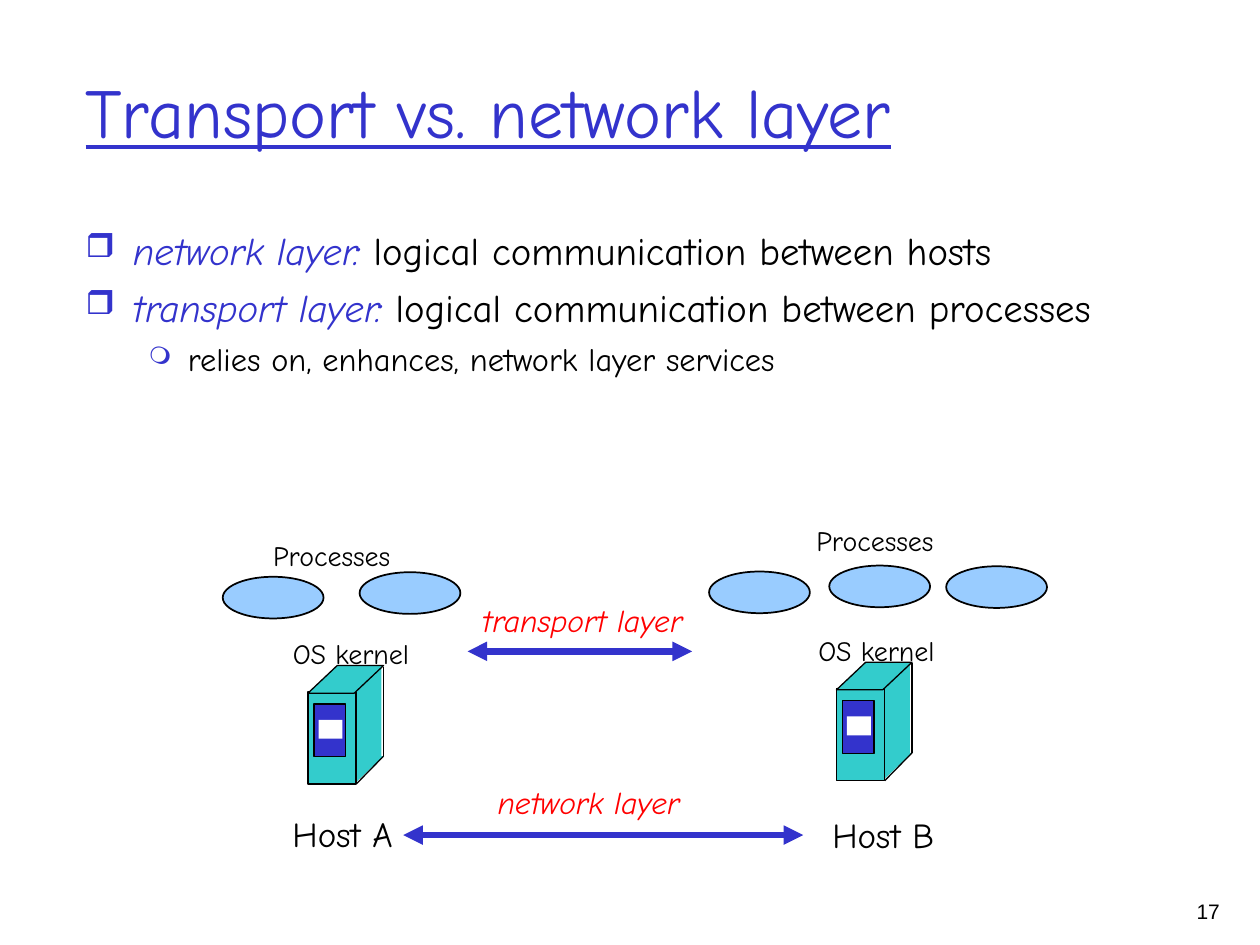
import pptx
import pptx.util
import pptx.dml.color
import pptx.enum.shapes
import pptx.enum.text
import pptx.oxml.ns
import lxml.etree

Pt = pptx.util.Pt
RGB = pptx.dml.color.RGBColor.from_string
qn = pptx.oxml.ns.qn
SHAPE = pptx.enum.shapes.MSO_SHAPE
ALIGN = pptx.enum.text.PP_ALIGN
ANCHOR = pptx.enum.text.MSO_ANCHOR

COLORS = {
    "blue": "3333CC",
    "teal": "33CCCC",
    "sky": "99CCFF",
    "red": "FF0000",
    "black": "000000",
    "white": "FFFFFF",
}

deck = pptx.Presentation()
deck.slide_width, deck.slide_height = Pt(720), Pt(540)
page = deck.slides.add_slide(deck.slide_layouts[6])


def add_box(left, top, width, height, wrap=True, anchor=ANCHOR.TOP):
    box = page.shapes.add_textbox(Pt(left), Pt(top), Pt(width), Pt(height))
    box.text_frame.word_wrap = wrap
    box.text_frame.vertical_anchor = anchor
    if not wrap:
        box.text_frame.auto_size = pptx.enum.text.MSO_AUTO_SIZE.SHAPE_TO_FIT_TEXT
    return box.text_frame


def add_text(para, text, size=16, color="black", italic=False, underline=False,
             font="Comic Neue", align=ALIGN.LEFT, before=0):
    para.alignment = align
    para.space_before = Pt(before)
    span = para.add_run()
    span.text = text
    span.font.name = font
    span.font.size = Pt(size)
    span.font.italic = italic
    span.font.underline = underline
    span.font.color.rgb = RGB(COLORS[color])


title = add_box(41.8, 18, 612, 90, anchor=ANCHOR.MIDDLE)
add_text(title.paragraphs[0], "Transport vs. network layer", size=40, color="blue", underline=True)

body = add_box(41.8, 126, 611, 124.6)
points = [
    (0, "network layer:", " logical communication between hosts"),
    (0, "transport layer:", " logical communication between processes"),
    (1, "", "relies on, enhances, network layer services"),
]
levels = [
    {"size": 22.2, "before": 6, "margin": 27, "hang": 27, "bullet": "❒", "scale": 85},
    {"size": 18.5, "before": 5, "margin": 58.5, "hang": 22.5, "bullet": "❍", "scale": 75},
]
for index, (level, term, meaning) in enumerate(points):
    para = body.add_paragraph() if index else body.paragraphs[0]
    style = levels[level]
    para.level = level
    if term:
        add_text(para, term, size=style["size"], color="blue", italic=True, before=style["before"])
    add_text(para, meaning, size=style["size"], before=style["before"])
    props = para._p.get_or_add_pPr()
    props.set("marL", str(Pt(style["margin"])))
    props.set("indent", str(-Pt(style["hang"])))
    bullet_color = lxml.etree.SubElement(props, qn("a:buClr"))
    lxml.etree.SubElement(bullet_color, qn("a:srgbClr"), val=COLORS["blue"])
    lxml.etree.SubElement(props, qn("a:buSzPct"), val=str(style["scale"] * 1000))
    lxml.etree.SubElement(props, qn("a:buChar"), char=style["bullet"])

host_parts = [
    (SHAPE.PARALLELOGRAM, 0, 51.8, 43.2, 15.8, "teal", 0),
    (SHAPE.RECTANGLE, 21.8, 0, 20.2, 52.6, "teal", 0),
    (SHAPE.RECTANGLE, 0, 15.1, 27.4, 52.6, "teal", 0.75),
    (SHAPE.PARALLELOGRAM, 0, 0, 43.2, 15.8, "teal", 0.75),
    (SHAPE.RECTANGLE, 3.4, 22, 18, 30.2, "blue", 0.75),
    (SHAPE.RECTANGLE, 6, 31, 13.7, 10.8, "white", 0),
]
host_edges = [(43.2, 0.7, 43.2, 51.8), (43.2, 51.8, 27.6, 67.7)]
shapes = []
lines = []
for x, y in [(478, 378.4), (176, 380.3)]:
    for kind, left, top, width, height, fill, weight in host_parts:
        shapes.append((kind, x + left, y + top, width, height, fill, weight))
    for x1, y1, x2, y2 in host_edges:
        lines.append((x + x1, y + y1, x + x2, y + y2, "black", 0.75, False))

for left, top in [(127.3, 329.6), (205.5, 327), (540.7, 323.6), (473.9, 323.2), (405.2, 326.6)]:
    shapes.append((SHAPE.OVAL, left, top, 57.6, 23.8, "sky", 1))

lines += [
    (230.4, 477.2, 459, 477.2, "blue", 3.75, True),
    (267.2, 372.2, 395.5, 372.2, "blue", 3.75, True),
]

for kind, left, top, width, height, fill, weight in shapes:
    shape = page.shapes.add_shape(kind, Pt(left), Pt(top), Pt(width), Pt(height))
    shape.shadow.inherit = False
    shape.fill.solid()
    shape.fill.fore_color.rgb = RGB(COLORS[fill])
    if kind == SHAPE.PARALLELOGRAM:
        shape.adjustments[0] = 1.06
    if weight:
        shape.line.color.rgb = RGB(COLORS["black"])
        shape.line.width = Pt(weight)
    else:
        shape.line.fill.background()

for x1, y1, x2, y2, color, weight, arrow in lines:
    line = page.shapes.add_connector(
        pptx.enum.shapes.MSO_CONNECTOR.STRAIGHT, Pt(x1), Pt(y1), Pt(x2), Pt(y2))
    line.line.color.rgb = RGB(COLORS[color])
    line.line.width = Pt(weight)
    if arrow:
        outline = line.line._get_or_add_ln()
        for end in ("a:headEnd", "a:tailEnd"):
            lxml.etree.SubElement(outline, qn(end), type="triangle")
    lxml.etree.SubElement(line._element.spPr, qn("a:effectLst"))

process = {"before": 4}
kernel = {"before": 4, "align": ALIGN.CENTER}
layer = {"before": 4.5, "size": 18, "color": "red", "italic": True}
host = {"before": 5, "size": 20, "align": ALIGN.CENTER}
number = {"size": 12, "font": "Arial", "align": ALIGN.RIGHT}
labels = [
    ("Processes", (149, 304, 87.8, 26.6), process),
    ("Processes", (459.4, 295.9, 87.8, 26.6), process),
    ("OS kernel", (137.5, 360, 126, 26.6), kernel),
    ("OS kernel", (437.8, 358.6, 126, 26.6), kernel),
    ("transport layer", (268.6, 339.8, 129, 28.8, False), layer),
    ("network layer", (277.2, 444.2, 120, 28.8, False), layer),
    ("Host A", (151.9, 460.8, 87.8, 31.7), host),
    ("Host B", (460.8, 461.5, 87.8, 31.7), host),
    ("17", (650.9, 509.8, 53.3, 25.2), number),
]
for text, place, style in labels:
    add_text(add_box(*place).paragraphs[0], text, **style)

deck.save("out.pptx")
